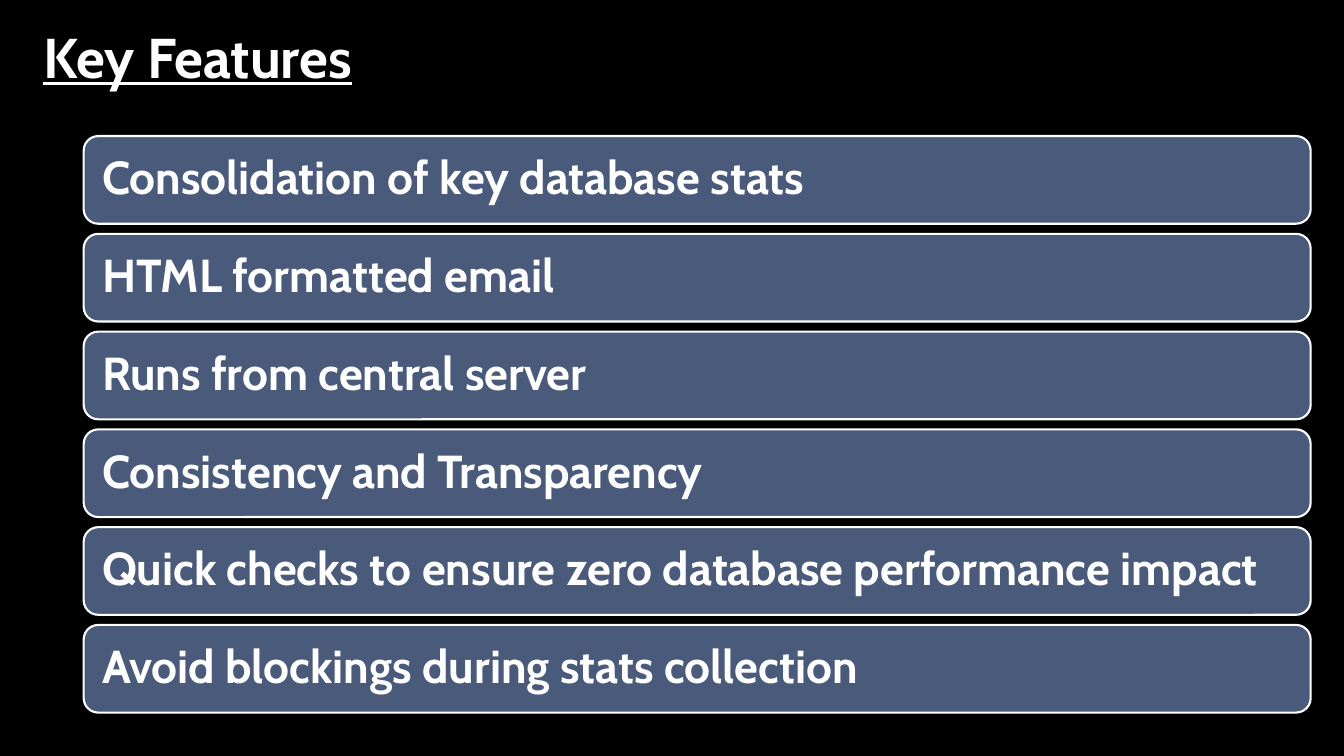
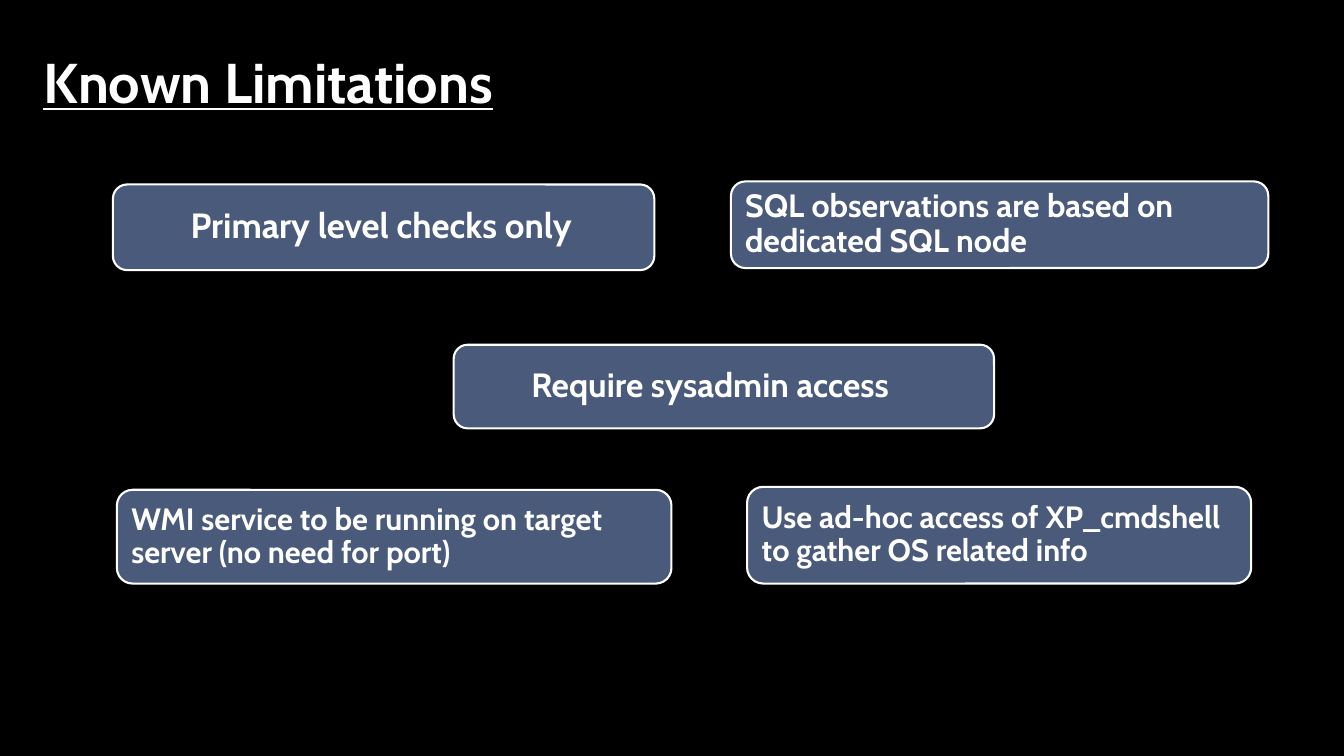
from pptx import Presentation
from pptx.dml.color import RGBColor
from pptx.enum.shapes import MSO_SHAPE
from pptx.enum.text import MSO_ANCHOR, MSO_AUTO_SIZE, PP_ALIGN
from pptx.util import Inches, Pt

BLACK = RGBColor(0x00, 0x00, 0x00)
WHITE = RGBColor(0xFF, 0xFF, 0xFF)
SLATE = RGBColor(0x4A, 0x5A, 0x7A)
FONT = "Cabin"
ROUND = MSO_SHAPE.ROUNDED_RECTANGLE
TOP, MIDDLE = MSO_ANCHOR.TOP, MSO_ANCHOR.MIDDLE
LEFT = PP_ALIGN.LEFT
NO_FIT = MSO_AUTO_SIZE.NONE


def write(shape, text, size=24, fill=SLATE, line=WHITE, anchor=MIDDLE,
          inset=0.1, indent=0, space=0.9, under=False):
    """Fill and outline a shape, then set its text."""
    shape.fill.solid()
    shape.fill.fore_color.rgb = fill
    shape.line.color.rgb = line
    shape.line.width = Pt(1.5)
    frame = shape.text_frame
    frame.word_wrap = True
    frame.auto_size = NO_FIT
    frame.vertical_anchor = anchor
    frame.margin_left = Inches(inset + indent)
    frame.margin_right = Inches(inset)
    frame.margin_top = frame.margin_bottom = Inches(0.05)
    para = frame.paragraphs[0]
    para.alignment = LEFT
    para.line_spacing = space
    run = para.add_run()
    run.text = text
    font = run.font
    font.name, font.size, font.bold = FONT, Pt(size), True
    font.underline = under
    font.color.rgb = WHITE


def box(slide, left, top, width, height, text, **style):
    """Add a rounded box with text."""
    shape = slide.shapes.add_shape(
        ROUND, Inches(left), Inches(top), Inches(width), Inches(height))
    shape.shadow.inherit = False
    write(shape, text, **style)


# Deck with a black master
deck = Presentation()
deck.slide_width, deck.slide_height = Inches(13.33), Inches(7.5)
back = deck.slide_master.background.fill
back.solid()
back.fore_color.rgb = BLACK

# Slides with their titles
layout = deck.slide_layouts.get_by_name("Title Only")
slides = []
for text, top in (("Key Features", 0.17), ("Known Limitations", 0.42)):
    slide = deck.slides.add_slide(layout)
    title = slide.shapes.title
    title.left, title.top = Inches(0.33), Inches(top)
    title.width, title.height = Inches(11.2), Inches(0.58)
    write(title, text, size=40, fill=BLACK, line=BLACK, anchor=TOP,
          space=1.0, under=True)
    slides.append(slide)
first, second = slides

# Key features: a stack of equal bars
features = [
    "Consolidation of key database stats",
    "HTML formatted email",
    "Runs from central server",
    "Consistency and Transparency",
    "Quick checks to ensure zero database performance impact",
    "Avoid blockings during stats collection",
]
for row, text in enumerate(features):
    box(first, 0.83, 1.35 + row * 0.97, 12.17, 0.87, text,
        size=33, inset=0.14)

# Known limitations: left, top, width, height, size, indent, text
limits = [
    (1.12, 1.83, 5.37, 0.85, 25, 0.63, "Primary level checks only"),
    (7.25, 1.8, 5.33, 0.86, 23, 0,
     "SQL observations are based on dedicated SQL node"),
    (4.5, 3.42, 5.36, 0.83, 24, 0.63, "Require sysadmin access"),
    (7.41, 4.83, 5, 0.96, 22, 0,
     "Use ad-hoc access of XP_cmdshell to gather OS related info"),
    (1.16, 4.86, 5.5, 0.93, 22, 0,
     "WMI service to be running on target server (no need for port)"),
]
for left, top, width, height, size, indent, text in limits:
    box(second, left, top, width, height, text, size=size, indent=indent)

deck.save("out.pptx")
